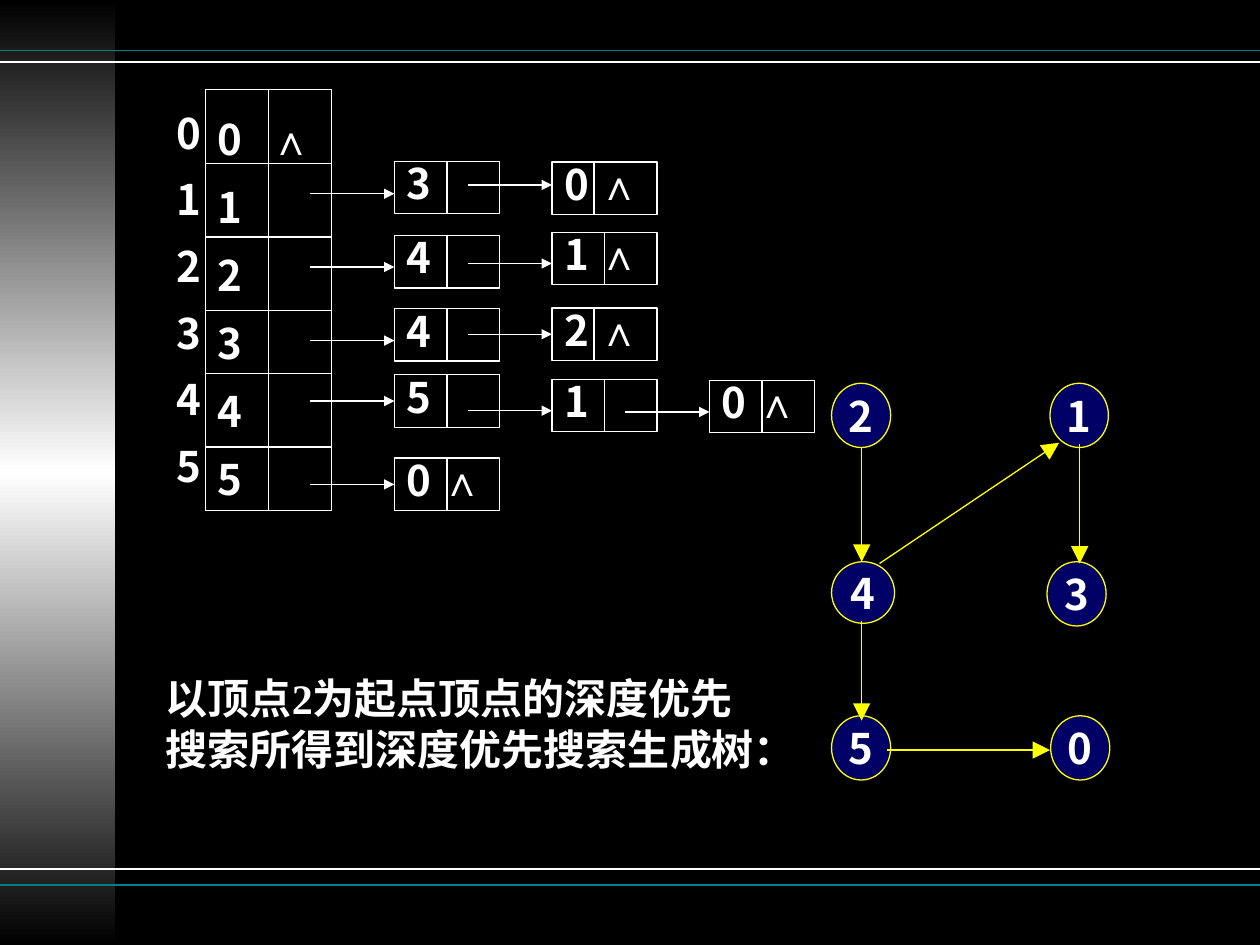
import copy

import pptx
import pptx.dml.color
import pptx.enum.shapes
import pptx.enum.text
import pptx.oxml.ns
import pptx.util
from lxml import etree

Pt = pptx.util.Pt
RGBColor = pptx.dml.color.RGBColor
SHAPE = pptx.enum.shapes.MSO_SHAPE
ANCHOR = pptx.enum.text.MSO_ANCHOR
ALIGN = pptx.enum.text.PP_ALIGN
qn = pptx.oxml.ns.qn

BLACK = RGBColor(0, 0, 0)
WHITE = RGBColor(255, 255, 255)
TEAL = RGBColor(0, 128, 128)
NAVY = RGBColor(0, 0, 102)
YELLOW = RGBColor(255, 255, 0)

CJK = "Noto Sans CJK SC"
NIL = "∧"


class SlideBuilder:
    font = {"size": Pt(24), "bold": True}
    line_width = 0.75

    def __init__(self, slide):
        self.slide = slide
        self.slide.background.fill.solid()
        self.slide.background.fill.fore_color.rgb = BLACK

    def fill_text(self, shape, lines, latin=CJK, wrap=True, anchor=ANCHOR.TOP, tab=None,
                  **layout):
        """Set one paragraph per line; the null mark gets its own font."""
        frame = shape.text_frame
        frame.word_wrap = wrap
        frame.vertical_anchor = anchor
        space_before = layout.pop("space_before", None)
        layout = {"alignment": ALIGN.LEFT, **layout}
        for index, line in enumerate(lines):
            paragraph = frame.paragraphs[0] if index == 0 else frame.add_paragraph()
            for name, value in layout.items():
                setattr(paragraph, name, value)
            if space_before and index:
                paragraph.space_before = space_before
            if tab and "\t" in line:
                tabs = etree.SubElement(paragraph._p.get_or_add_pPr(), qn("a:tabLst"))
                etree.SubElement(tabs, qn("a:tab"), pos=str(Pt(tab)), algn="l")
            pieces = [(line.removesuffix(NIL), latin, CJK)]
            if line.endswith(NIL):
                pieces.append((NIL, "Arial", "Arial"))
            for text, name, east_asian in pieces:
                run = paragraph.add_run()
                run.text = text
                run.font.name = name
                run.font.color.rgb = WHITE
                for attribute, value in self.font.items():
                    setattr(run.font, attribute, value)
                latin_element = run._r.rPr.find(qn("a:latin"))
                latin_element.addnext(etree.Element(qn("a:ea"), typeface=east_asian))

    def shape(self, kind, left, top, width, height, line=None, fill=None):
        shape = self.slide.shapes.add_shape(kind, Pt(left), Pt(top), Pt(width), Pt(height))
        shape.shadow.inherit = False
        if fill is None:
            shape.fill.background()
        else:
            shape.fill.solid()
            shape.fill.fore_color.rgb = fill
        if line is None:
            shape.line.fill.background()
        else:
            shape.line.color.rgb = line
            shape.line.width = Pt(self.line_width)
        return shape

    def gradient_band(self, left, top, width, height, colors):
        fill = self.shape(SHAPE.RECTANGLE, left, top, width, height, fill=BLACK).fill
        fill.gradient()
        fill.gradient_angle = 90
        stops = fill.gradient_stops
        stop_list = stops[0]._gs.getparent()
        for _ in colors[len(stops):]:
            stop_list.append(copy.deepcopy(stop_list[0]))
        for index, (stop, color) in enumerate(zip(fill.gradient_stops, colors)):
            stop.color.rgb = color
            stop.position = index / (len(colors) - 1)

    def text(self, left, top, width, height, lines, **style):
        box = self.slide.shapes.add_textbox(Pt(left), Pt(top), Pt(width), Pt(height))
        self.fill_text(box, lines, **style)

    def line(self, x1, y1, x2, y2, color=WHITE, width=line_width, head=None):
        connector = self.slide.shapes.add_connector(
            pptx.enum.shapes.MSO_CONNECTOR.STRAIGHT, Pt(x1), Pt(y1), Pt(x2), Pt(y2))
        connector.line.color.rgb = color
        connector.line.width = Pt(width)
        if head:
            etree.SubElement(connector.line._get_or_add_ln(), qn("a:tailEnd"),
                             type="triangle", w=head, len=head)
        etree.SubElement(connector._element.spPr, qn("a:effectLst"))
        return connector

    def list_node(self, left, top, text, divider, arrow_y=None):
        """A list cell with its divider and incoming arrow, at mid-height unless given."""
        width, height = 60, 30
        box = self.shape(SHAPE.RECTANGLE, left, top, width, height, line=WHITE)
        self.fill_text(box, [text], line_spacing=0.8)
        self.line(left + divider, top, left + divider, top + height)
        y = arrow_y or top + height / 2
        arrow = self.line(left - 48, y, left, y, head="med")
        if arrow_y is None:
            arrow.end_connect(box, 1)

    def vertex(self, left, top, width, height, text):
        circle = self.shape(SHAPE.OVAL, left, top, width, height, line=YELLOW, fill=NAVY)
        self.fill_text(circle, [text], wrap=False, anchor=ANCHOR.MIDDLE,
                       alignment=ALIGN.CENTER)


def main():
    presentation = pptx.Presentation()
    presentation.slide_width, presentation.slide_height = Pt(720), Pt(540)
    builder = SlideBuilder(presentation.slides.add_slide(presentation.slide_layouts[6]))

    # Side band and double rules
    builder.gradient_band(0, 0, 66, 540, [BLACK, WHITE, BLACK])
    for y, color in ((28.8, TEAL), (35.4, WHITE), (496.6, WHITE), (505.6, TEAL)):
        builder.line(0, y, 720, y, color, width=1)

    # Caption
    builder.text(87.8, 381, 357, 65,
                 ["以顶点2为起点顶点的深度优先搜索所得到深度优先搜索生成树："],
                 latin="Times New Roman")

    # Head array with its row indices
    indices = [str(number) for number in range(6)]
    left, top, width, height = 117.4, 51.1, 72, 240.5
    array = builder.shape(SHAPE.RECTANGLE, left, top, width, height, line=WHITE)
    builder.fill_text(array, [f"0\t{NIL}"] + indices[1:], tab=30, line_spacing=1.35)
    for y in (93.5, 135.4, 177.3, 213.3, 255.5):
        builder.line(left, y, left + width, y)
    builder.line(left + width / 2, top, left + width / 2, top + height)
    builder.text(93.6, 63.4, 36, 220, indices, line_spacing=0.8, space_before=Pt(15))

    # Adjacency lists: top, text, divider offset, arrow height
    columns = [
        [(92.2, "3", 30, 110.7), (134.6, "4", 30, 152.6), (176.4, "4", 30, 194.6),
         (214.2, "5", 30), (261.8, f"0 {NIL}", 30)],
        [(92.6, f"0 {NIL}", 24, 105.7), (132.7, f"1 {NIL}", 30, 150.6),
         (176, f"2 {NIL}", 24), (216.7, "1", 30, 234.7)],
        [(217.4, f"0 {NIL}", 30, 235.4)],
    ]
    for column, nodes in enumerate(columns):
        for node_top, *node in nodes:
            builder.list_node(225.4 + 90 * column, node_top, *node)

    # Spanning tree vertices
    for x, y, w, h, text in (
            (475.2, 219, 33.8, 36.7, "2"), (600, 219, 33.4, 36.7, "1"),
            (475.2, 321, 36, 35.2, "4"), (598.3, 321, 33.8, 36.7, "3"),
            (475.2, 409, 33.8, 36.7, "5"), (600.4, 409, 33.8, 36.7, "0")):
        builder.vertex(x, y, w, h, text)

    # Spanning tree edges
    for ends in ((492.4, 255.6, 492.4, 321), (507, 428.6, 600, 428.6),
                 (617, 254, 617, 322), (502.6, 322, 605.2, 253),
                 (492.4, 355, 492.4, 411.8)):
        builder.line(*ends, color=YELLOW, head="lg")

    presentation.save("out.pptx")


if __name__ == "__main__":
    main()
